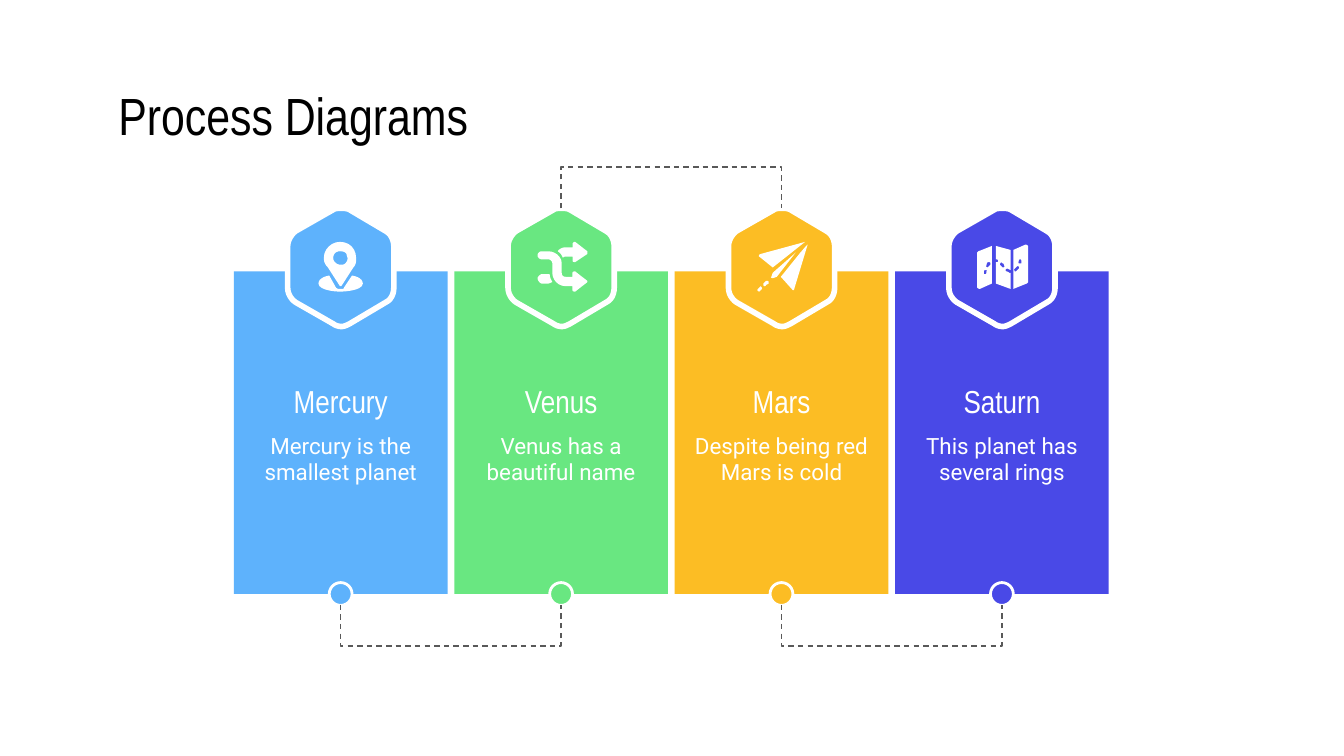
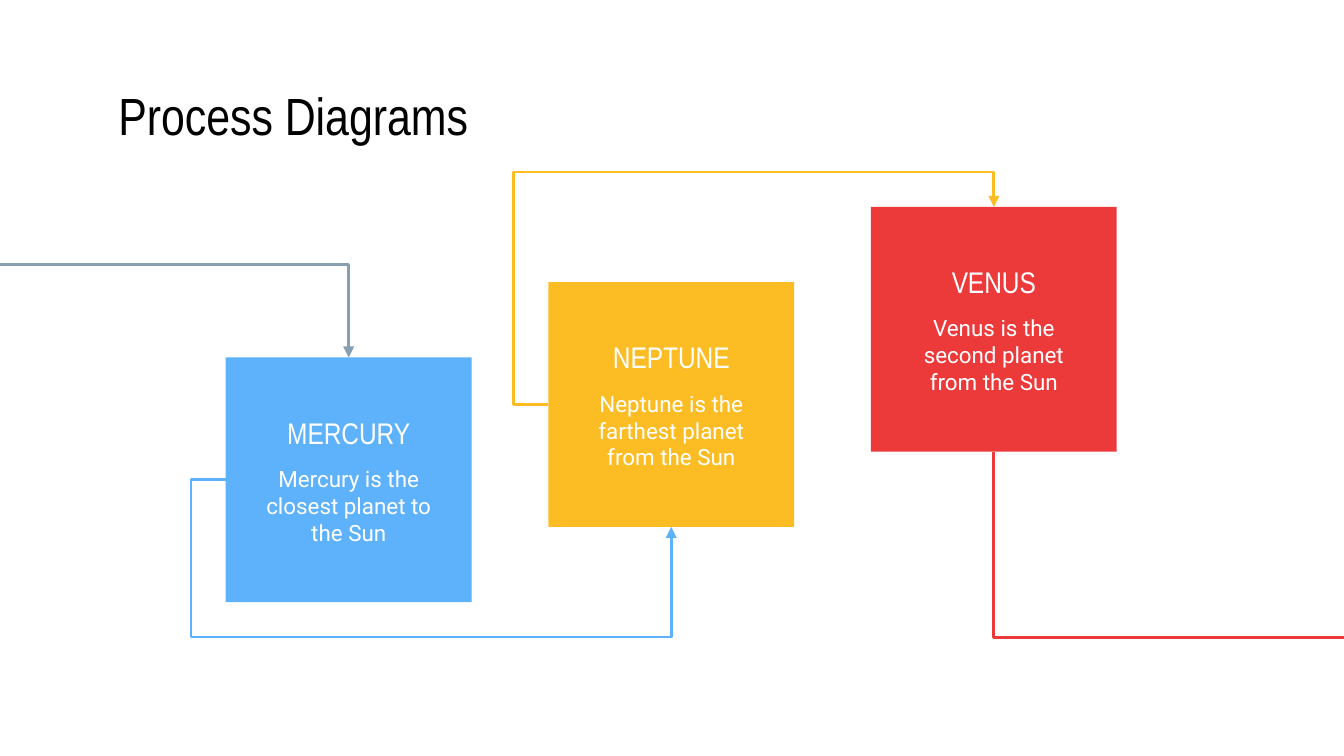
from dataclasses import dataclass
from itertools import pairwise

from lxml.etree import SubElement
from pptx import Presentation
from pptx.dml.color import RGBColor
from pptx.enum.dml import MSO_LINE_DASH_STYLE as Dash
from pptx.enum.shapes import MSO_CONNECTOR as Link, MSO_SHAPE as Preset
from pptx.enum.text import MSO_ANCHOR as Anchor, MSO_AUTO_SIZE as AutoSize, PP_ALIGN as Align
from pptx.oxml.ns import qn
from pptx.util import Inches, Pt


@dataclass(frozen=True)
class Theme:
    blue: str = "5EB2FC"
    green: str = "69E781"
    yellow: str = "FCBD24"
    indigo: str = "4949E7"
    red: str = "EC3A3B"
    slate: str = "869FB2"
    gray: str = "595959"
    white: str = "FFFFFF"
    black: str = "000000"
    heading_font: str = "Arial Narrow"
    body_font: str = "Roboto"
    title_size: int = 28
    card_size: int = 17
    square_size: int = 16
    body_size: int = 12


@dataclass(frozen=True)
class Box:
    left: float
    top: float
    width: float
    height: float

    @property
    def right(self):
        return self.left + self.width

    @property
    def bottom(self):
        return self.top + self.height

    @property
    def center(self):
        return self.left + self.width / 2

    @property
    def middle(self):
        return self.top + self.height / 2

    def inner(self, left, top, width, height):
        return Box(self.left + left * self.width, self.top + top * self.height,
                   width * self.width, height * self.height)

    def centered(self, middle, width, height):
        return Box(self.center - width / 2, middle - height / 2, width, height)

    def emu(self):
        return [Inches(side) for side in (self.left, self.top, self.width, self.height)]


THEME = Theme()
SLIDE = Box(0, 0, 10, 5.625)
TITLE = SLIDE.inner(0.078, 0.105, 0.845, 0.094)
BEND = 0.26

HEXAGON = (
    "M 40 0 C 38 0 35 0 34 1 L 6 17 C 3 19 0 24 0 28 L 0 59 C 0 64 3 68 6 70 L 34 86 "
    "C 35 87 38 88 40 88 C 42 88 44 87 46 86 L 73 70 C 77 68 79 64 79 59 L 79 28 "
    "C 79 24 77 19 73 17 L 46 1 C 44 0 42 0 40 0")
PIN = [
    "M 39 32 C 42 32 44 33 44 35 C 45 37 45 39 43 41 C 42 42 41 42 39 42 C 37 42 34 40 34 37 "
    "C 34 34 36 32 39 32 M 39 25 C 33 25 27 30 27 37 C 27 40 28 42 30 44 L 39 58 L 40 58 "
    "L 49 44 C 51 42 51 40 51 37 C 51 30 46 25 39 25",
    "M 31 50 C 26 51 23 53 23 56 C 23 60 32 62 39 62 C 47 62 56 60 56 56 "
    "C 56 53 53 51 48 50 L 42 59 C 42 60 41 60 39 60 C 38 60 37 60 36 59"]
SHUFFLE = [
    "M 25 32 C 24 32 22 33 22 35 C 22 37 24 38 25 38 L 30 38 C 32 38 33 40 33 41 L 33 48 "
    "C 33 53 37 58 43 58 L 48 58 L 48 61 C 48 62 49 62 50 62 L 59 55 L 59 54 L 50 47 "
    "C 49 47 48 47 48 48 L 48 51 L 43 51 C 41 51 40 50 40 48 L 40 41 C 40 36 35 32 30 32",
    "M 31 49 L 25 49 C 24 49 22 51 22 52 C 22 54 24 56 25 56 L 30 56 "
    "C 31 56 32 55 33 55 C 32 53 31 51 31 49",
    "M 49 25 L 48 26 L 48 29 L 43 29 C 41 29 38 30 37 32 C 39 33 40 35 41 37 "
    "C 41 36 42 36 43 36 L 48 36 L 48 39 C 48 40 49 40 50 40 L 59 34 L 59 32 L 50 25"]
PLANE = [
    "M 24 58 L 22 60 C 21 61 22 62 23 62 L 25 60 C 25 59 24 58 24 58",
    "M 29 54 L 28 54 L 26 56 C 26 57 26 58 27 58 C 28 58 28 57 28 57 L 30 56 C 30 55 30 54 29 54",
    "M 57 25 L 24 34 C 23 34 22 36 23 36 L 33 44",
    "M 59 27 C 58 27 40 50 39 51 L 48 61 C 49 61 49 61 49 60",
    "M 50 33 L 33 48 L 32 51 C 31 51 32 52 33 52 L 36 51"]
MAP = [
    "M 30 40 C 31 40 31 41 31 42 L 29 44 C 28 44 27 43 28 43 C 28 42 28 41 29 40 "
    "M 27 46 C 28 46 29 46 28 47 L 28 48 C 28 49 27 49 27 49 C 26 49 26 49 26 48 L 26 47 "
    "C 26 46 27 46 27 46 M 32 28 L 22 32 L 21 33 L 21 59 C 21 59 22 60 23 60 L 32 56",
    "M 39 40 L 40 41 C 41 41 41 42 41 42 C 42 44 41 44 40 44 L 39 43 L 38 42 C 38 41 39 40 39 40 "
    "M 35 28 L 35 38 L 36 38 C 37 39 37 40 36 40 L 35 40 L 35 56 L 46 60 L 46 48 L 45 48 "
    "C 45 48 44 47 43 47 C 42 47 42 45 43 45 L 44 45 L 46 46 L 46 31",
    "M 53 38 C 54 38 54 39 54 40 L 54 41 L 53 41 C 52 41 51 41 52 40 L 52 39 C 52 38 53 38 53 38 "
    "M 51 43 C 52 43 53 44 52 45 C 51 46 51 46 50 47 L 49 47 C 49 47 48 45 49 45 L 50 44 "
    "M 57 27 L 48 31 L 48 60 L 58 56 L 59 55 L 59 28 C 59 28 58 27 57 27"]


def rgb(code):
    return RGBColor.from_string(code)


def paint(shape, fill, line=None, weight=1.5):
    shape.shadow.inherit = False
    shape.fill.solid()
    shape.fill.fore_color.rgb = rgb(fill)
    if line:
        shape.line.color.rgb = rgb(line)
        shape.line.width = Pt(weight)
    else:
        shape.line.fill.background()


def add_block(shapes, preset, box, fill, line=None):
    shape = shapes.add_shape(preset, *box.emu())
    paint(shape, fill, line)


def write(frame, text, font=THEME.body_font, size=THEME.body_size, color=THEME.white, align=Align.CENTER):
    frame.word_wrap = True
    frame.auto_size = AutoSize.NONE
    frame.vertical_anchor = Anchor.MIDDLE
    frame.margin_left = frame.margin_right = frame.margin_top = frame.margin_bottom = Inches(0.1)
    para = frame.paragraphs[0]
    para.alignment = align
    span = para.add_run()
    span.text = text
    span.font.name = font
    span.font.size = Pt(size)
    span.font.color.rgb = rgb(color)


def add_text(shapes, box, text, **style):
    write(shapes.add_textbox(*box.emu()).text_frame, text, **style)


def curve(start, first, second, end, steps=6):
    for step in range(1, steps + 1):
        t = step / steps
        weights = ((1 - t) ** 3, 3 * t * (1 - t) ** 2, 3 * t * t * (1 - t), t ** 3)
        yield tuple(sum(w * point[axis] for w, point in zip(weights, (start, first, second, end)))
                    for axis in (0, 1))


def outline_points(drawing):
    contours = []
    for contour in drawing.split("M")[1:]:
        points = []
        for stroke in contour.replace("L", "|").replace("C", "|C").split("|"):
            values = [float(value) for value in stroke.replace("C", "").split()]
            knots = list(zip(values[::2], values[1::2]))
            points += curve(points[-1], *knots) if "C" in stroke else knots
        contours.append([(100 * x, 100 * y) for x, y in points])
    return contours


def add_outline(shapes, box, drawing, fill, line=None, weight=3):
    contours = outline_points(drawing)
    builder = shapes.build_freeform(*contours[0][0], scale=Inches(1) / 10000)
    for index, points in enumerate(contours):
        if index:
            builder.move_to(*points[0])
        builder.add_line_segments(points[1:], close=True)
    paint(builder.convert_to_shape(Inches(box.left), Inches(box.top)), fill, line, weight)


def add_elbow(page, route, color, weight=1.5, dash=None, head=False, tail=False):
    start, corner, end = route[0], route[1], route[-1]
    vertical = start[0] == corner[0]
    main, cross = (1, 0) if vertical else (0, 1)
    leg = corner[main] - start[main]
    along = (end[main] - start[main]) or (0.001 if leg > 0 else -0.001)
    across = end[cross] - start[cross]
    width, height = abs(along), abs(across)
    frame = Box((start[0] + end[0] - width) / 2, (start[1] + end[1] - height) / 2, width, height)
    link = page.shapes.add_connector(Link.ELBOW, 0, 0, 0, 0)
    link.left, link.top, link.width, link.height = frame.emu()
    properties = link.element.spPr
    transform = properties.find(qn("a:xfrm"))
    for name, value in (("rot", 5400000 * vertical), ("flipH", along < 0),
                        ("flipV", (across < 0) != vertical)):
        transform.set(name, str(int(value)))
    geometry = properties.find(qn("a:prstGeom"))
    geometry.set("prst", f"bentConnector{len(route) - 1}")
    shares = [leg / along] if len(route) > 3 else []
    if len(route) > 4:
        shares.append((route[2][cross] - start[cross]) / across)
    for number, share in enumerate(shares, 1):
        SubElement(geometry.find(qn("a:avLst")), qn("a:gd"), name=f"adj{number}",
                   fmla=f"val {round(share * 100000)}")
    link.line.color.rgb = rgb(color)
    link.line.width = Pt(weight)
    if dash:
        link.line.dash_style = dash
    for shown, tag in ((head, "a:headEnd"), (tail, "a:tailEnd")):
        if shown:
            SubElement(properties.find(qn("a:ln")), qn(tag), type="triangle")
    SubElement(properties, qn("a:effectLst"))


def add_page(deck, title):
    page = deck.slides.add_slide(deck.slide_layouts[5])
    holder = page.shapes.title
    holder.left, holder.top, holder.width, holder.height = TITLE.emu()
    write(holder.text_frame, title, font=THEME.heading_font, size=THEME.title_size,
          color=THEME.black, align=Align.LEFT)
    return page


def add_card(page, box, name, detail, color, icon):
    shapes = page.shapes.add_group_shape().shapes
    badge = box.centered(box.top - 0.03, 0.79, 0.88)
    add_block(shapes, Preset.RECTANGLE, box, color)
    add_outline(shapes, badge, HEXAGON, color, line=THEME.white)
    for drawing in icon:
        add_outline(shapes, badge, drawing, THEME.white)
    add_text(shapes, box.inner(0, 0.46, 1, 0.24), detail)
    add_text(shapes, box.inner(0, 0.3, 1, 0.2), name, font=THEME.heading_font, size=THEME.card_size)
    add_block(shapes, Preset.OVAL, box.centered(box.bottom, 0.17, 0.17), color, THEME.white)


def add_square(page, box, name, detail, color):
    shapes = page.shapes.add_group_shape().shapes
    add_block(shapes, Preset.RECTANGLE, box, color)
    add_text(shapes, box.inner(0.085, 0.2, 0.83, 0.21), name,
             font=THEME.heading_font, size=THEME.square_size)
    add_text(shapes, box.inner(0.1, 0.42, 0.8, 0.37), detail)


def build_cards(deck):
    page = add_page(deck, "Process Diagrams")
    cards = [
        ("Mercury", "Mercury is the smallest planet", THEME.blue, PIN),
        ("Venus", "Venus has a beautiful name", THEME.green, SHUFFLE),
        ("Mars", "Despite being red Mars is cold", THEME.yellow, PLANE),
        ("Saturn", "This planet has several rings", THEME.indigo, MAP)]
    boxes = [Box(1.74 + 1.64 * column, 2.02, 1.59, 2.4) for column in range(len(cards))]
    for box, card in zip(boxes, cards):
        add_card(page, box, *card)
    for index, (first, second) in enumerate(pairwise(boxes)):
        level, turn = (first.top - 0.47, -BEND) if index % 2 else (first.bottom + 0.08, BEND)
        route = [(first.center, level), (first.center, level + turn),
                 (second.center, level + turn), (second.center, level)]
        add_elbow(page, route, THEME.gray, weight=0.75, dash=Dash.DASH)


def build_steps(deck):
    page = add_page(deck, "Process Diagrams")
    steps = [
        ("MERCURY", "Mercury is the closest planet to the Sun", THEME.blue),
        ("NEPTUNE", "Neptune is the farthest planet from the Sun", THEME.yellow),
        ("VENUS", "Venus is the second planet from the Sun", THEME.red)]
    boxes = [Box(1.68 + 2.4 * column, 2.66 - 0.56 * column, 1.83, 1.82)
             for column in range(len(steps))]
    for box, step in zip(boxes, steps):
        add_square(page, box, *step)
    mercury, neptune, venus = boxes
    floor = mercury.bottom + BEND
    add_elbow(page, [(mercury.center, mercury.top), (mercury.center, 1.97), (SLIDE.left, 1.97)],
              THEME.slate, head=True)
    for first, second, level, target, color in (
            (mercury, neptune, floor, neptune.bottom, THEME.blue),
            (neptune, venus, venus.top - BEND, venus.top, THEME.yellow)):
        side = first.left - BEND
        add_elbow(page, [(first.left, first.middle), (side, first.middle), (side, level),
                         (second.center, level), (second.center, target)], color, tail=True)
    add_elbow(page, [(venus.center, venus.bottom), (venus.center, floor), (SLIDE.right, floor)],
              THEME.red)


def main():
    deck = Presentation()
    deck.slide_width, deck.slide_height = Inches(SLIDE.width), Inches(SLIDE.height)
    build_cards(deck)
    build_steps(deck)
    deck.save("out.pptx")


if __name__ == "__main__":
    main()
